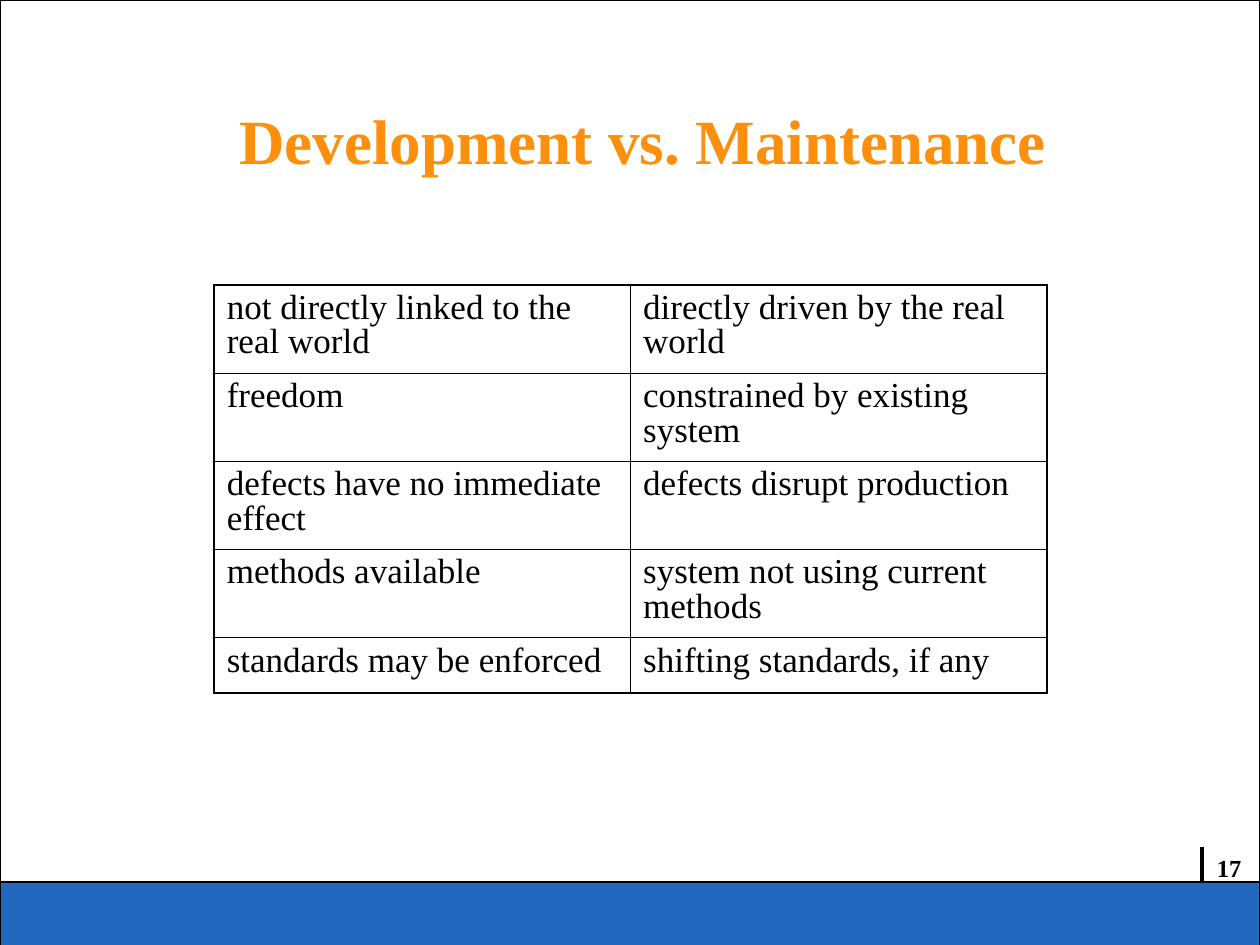
import math

from lxml import etree
from pptx import Presentation
from pptx.dml.color import RGBColor
from pptx.enum.shapes import MSO_CONNECTOR
from pptx.enum.text import MSO_ANCHOR, MSO_AUTO_SIZE, PP_ALIGN
from pptx.oxml.ns import qn
from pptx.util import Inches, Pt

BLACK = RGBColor(0x00, 0x00, 0x00)
BLUE = RGBColor(0x22, 0x68, 0xBE)
ORANGE = RGBColor(0xFC, 0x8F, 0x0C)
FONT = "Times New Roman"
STRAIGHT = MSO_CONNECTOR.STRAIGHT
LEFT, CENTER, RIGHT = PP_ALIGN.LEFT, PP_ALIGN.CENTER, PP_ALIGN.RIGHT
TOP, BOTTOM = MSO_ANCHOR.TOP, MSO_ANCHOR.BOTTOM
NO_AUTOFIT = MSO_AUTO_SIZE.NONE

OUTER_BORDER, INNER_BORDER = 1.08, 0.45
ROW_HEIGHTS = [0.7, 0.7, 0.7, 0.7, 0.44]
ROWS = [
    ("not directly linked to the real world", "directly driven by the real world"),
    ("freedom", "constrained by existing system"),
    ("defects have no immediate effect", "defects disrupt production"),
    ("methods available", "system not using current methods"),
    ("standards may be enforced", "shifting standards, if any"),
]


def write(tf, text, size, color=BLACK, bold=False, align=LEFT, spacing=1.0, before=0):
    tf.text = text
    p = tf.paragraphs[0]
    p.alignment = align
    p.line_spacing = spacing
    p.space_before = Pt(before)
    font = p.runs[0].font
    font.name, font.size, font.bold = FONT, Pt(size), bold
    font.color.rgb = color


def arc(cx, cy, rx, ry, start, end, steps=16):
    """Points of an elliptical arc; angles in degrees, clockwise on the slide."""
    angles = [math.radians(start + (end - start) * i / steps) for i in range(steps + 1)]
    return [(cx + rx * math.cos(a), cy + ry * math.sin(a)) for a in angles]


def add_frame(slide, left, top, width, height):
    right, bottom = left + width, top + height
    in_left, in_top, in_right, in_bottom = left + 0.16, top + 0.14, right - 0.12, bottom - 0.13
    rx, ry = 0.68, 0.66
    fb = slide.shapes.build_freeform(left, top, scale=Inches(1))
    fb.add_line_segments([(right, top), (right, bottom), (left, bottom)])
    # Opening with two rounded corners
    fb.move_to(in_left, in_top)
    fb.add_line_segments(
        arc(in_right - rx, in_top + ry, rx, ry, -90, 0)
        + [(in_right, in_bottom)]
        + arc(in_left + rx, in_bottom - ry, rx, ry, 90, 180)
    )
    frame = fb.convert_to_shape()
    frame.shadow.inherit = False
    frame.fill.solid()
    frame.fill.fore_color.rgb = BLUE
    frame.line.color.rgb = BLACK
    frame.line.width = Pt(0.75)


def add_rule(slide, x1, y1, x2, y2):
    line = slide.shapes.add_connector(STRAIGHT, Inches(x1), Inches(y1), Inches(x2), Inches(y2))
    line.line.color.rgb = BLACK
    line.line.width = Pt(2.25)
    etree.SubElement(line._element.spPr, qn("a:effectLst"))


def add_page_number(slide, left, top, width, height, number):
    box = slide.shapes.add_textbox(Inches(left), Inches(top), Inches(width), Inches(height))
    box.text_frame.word_wrap = True
    write(box.text_frame, number, 14, bold=True, align=RIGHT, before=8.8)


def place_title(slide, left, top, width, height, text):
    title = slide.shapes.title
    title.left, title.top = Inches(left), Inches(top)
    title.width, title.height = Inches(width), Inches(height)
    tf = title.text_frame
    tf.auto_size = NO_AUTOFIT
    tf.vertical_anchor = BOTTOM
    write(tf, text, 36, ORANGE, bold=True, align=CENTER, spacing=0.8)


def set_borders(cell, widths):
    tc_pr = cell._tc.get_or_add_tcPr()
    for side, width in zip("LRTB", widths):
        ln = etree.SubElement(tc_pr, qn(f"a:ln{side}"), w=str(Pt(width)))
        fill = etree.SubElement(ln, qn("a:solidFill"))
        etree.SubElement(fill, qn("a:srgbClr"), val=str(BLACK))


def add_comparison(slide, left, top, width):
    n_rows, n_cols = len(ROWS), len(ROWS[0])
    table = slide.shapes.add_table(
        n_rows, n_cols, Inches(left), Inches(top), Inches(width), Inches(sum(ROW_HEIGHTS))
    ).table
    table.first_row = table.horz_banding = False
    for column in table.columns:
        column.width = Inches(width / n_cols)
    for i, (texts, height) in enumerate(zip(ROWS, ROW_HEIGHTS)):
        table.rows[i].height = Inches(height)
        for j, text in enumerate(texts):
            cell = table.cell(i, j)
            cell.vertical_anchor = TOP
            write(cell.text_frame, text, 20, spacing=0.9, before=11.2)
            on_edge = (j == 0, j == n_cols - 1, i == 0, i == n_rows - 1)
            set_borders(cell, [OUTER_BORDER if e else INNER_BORDER for e in on_edge])
            cell.fill.background()


def main():
    prs = Presentation()
    prs.slide_width, prs.slide_height = Inches(10), Inches(7.5)
    slide = prs.slides.add_slide(prs.slide_layouts[5])

    # Footer rules, then the frame that covers their ends
    add_rule(slide, 0, 7.04, 10, 7.04)
    add_rule(slide, 9.54, 7.04, 9.54, 6.72)
    add_frame(slide, 0, 0, 10, 7.51)
    add_page_number(slide, 9.06, 6.72, 0.89, 0.34, "17")

    # Title and comparison table
    place_title(slide, 0.69, 0.66, 8.82, 0.79, "Development vs. Maintenance")
    add_comparison(slide, 1.7, 2.26, 6.61)
    prs.save("out.pptx")


if __name__ == "__main__":
    main()
